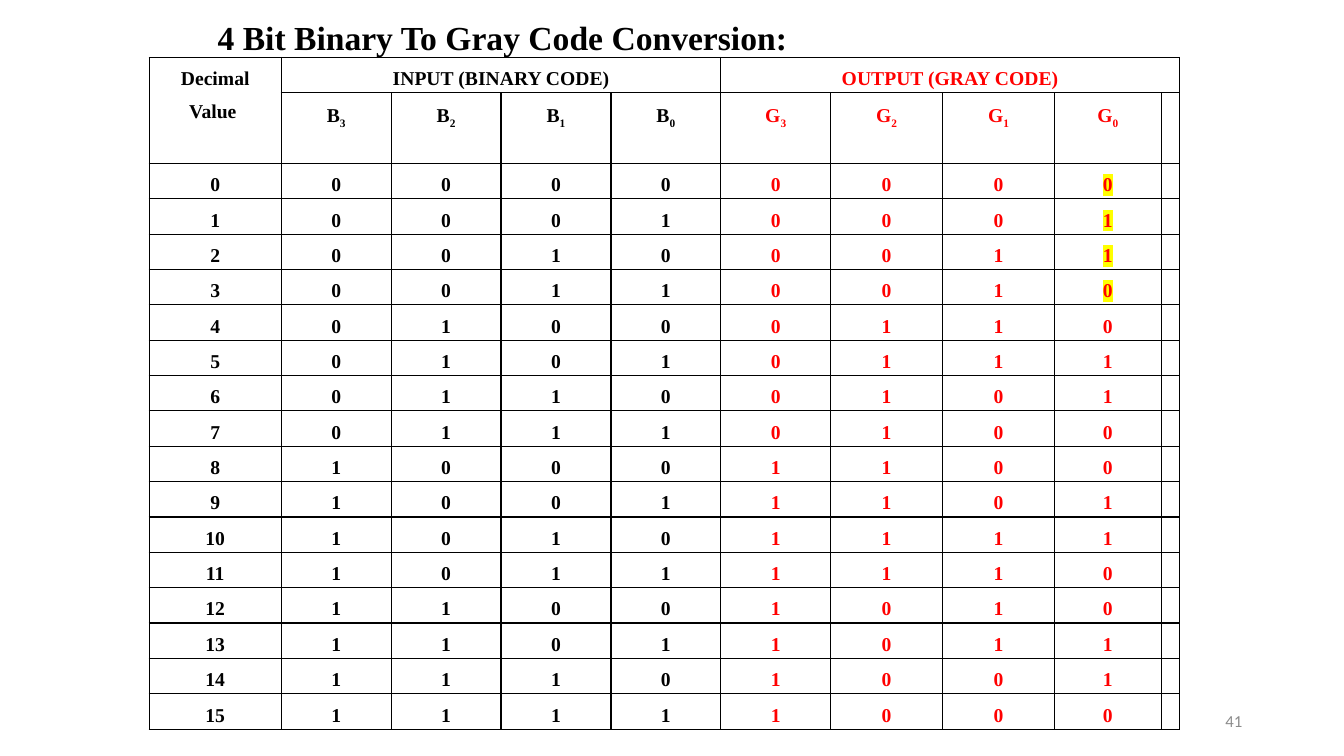
from pptx import Presentation
from pptx.dml.color import RGBColor
from pptx.enum.text import MSO_ANCHOR, PP_ALIGN
from pptx.oxml import parse_xml
from pptx.oxml.ns import nsdecls
from pptx.util import Inches, Pt

SERIF = "Times New Roman"
BLACK, RED, GRAY, YELLOW = "000000", "FF0000", "8C8C8C", "FFFF00"
COLS = [1.31] + [1.09] * 5 + [1.11, 1.11, 1.06, 0.17]
ROWS = [0.35, 0.7] + [0.351] * 16


def style(para, size, color, face=SERIF, bold=True):
    font = para.font
    font.name, font.size, font.bold = face, Pt(size), bold
    font.color.rgb = RGBColor.from_string(color)


def label(slide, box, text, size, color, face, bold, align, anchor):
    shape = slide.shapes.add_textbox(*[Inches(v) for v in box])
    frame = shape.text_frame
    frame.word_wrap = True
    frame.vertical_anchor = anchor
    para = frame.paragraphs[0]
    para.alignment = align
    para.add_run().text = text
    style(para, size, color, face, bold)


def frame_cell(cell):
    """Black hairlines on all sides, no fill, tight margins."""
    cell.margin_left = cell.margin_right = Inches(0.07)
    cell.margin_top = cell.margin_bottom = 0
    props = cell._tc.get_or_add_tcPr()
    for side in "LRTB":
        props.append(parse_xml(
            f'<a:ln{side} {nsdecls("a")} w="12700"><a:solidFill>'
            f'<a:srgbClr val="{BLACK}"/></a:solidFill></a:ln{side}>'))
    cell.fill.background()


def write(cell, text, color=BLACK, sub="", mark=False):
    para = cell.text_frame.paragraphs[0]
    para.alignment = PP_ALIGN.CENTER
    para.line_spacing = 1.5
    run = para.add_run()
    run.text = text
    if mark:
        run._r.get_or_add_rPr().append(parse_xml(
            f'<a:highlight {nsdecls("a")}><a:srgbClr val="{YELLOW}"/></a:highlight>'))
    if sub:
        low = para.add_run()
        low.text = sub
        low._r.get_or_add_rPr().set("baseline", "-25000")
    style(para, 14, color)


def add_grid(slide):
    box = [Inches(v) for v in (1.48, 0.57, sum(COLS), sum(ROWS))]
    table = slide.shapes.add_table(len(ROWS), len(COLS), *box).table
    table.first_row = table.horz_banding = False
    for col, width in zip(table.columns, COLS):
        col.width = Inches(width)
    for row, height in zip(table.rows, ROWS):
        row.height = Inches(height)
    for cell in table.iter_cells():
        frame_cell(cell)
        cell.text_frame.paragraphs[0].font.size = Pt(14)
    return table


def fill_grid(table):
    # Headings
    table.cell(0, 0).merge(table.cell(1, 0))
    table.cell(0, 1).merge(table.cell(0, 4))
    table.cell(0, 5).merge(table.cell(0, 9))
    write(table.cell(0, 0), "Decimal Value ")
    write(table.cell(0, 1), "INPUT (BINARY CODE)")
    write(table.cell(0, 5), "OUTPUT (GRAY CODE)", RED)
    for i in range(4):
        write(table.cell(1, 1 + i), "B", BLACK, str(3 - i))
        write(table.cell(1, 5 + i), "G", RED, str(3 - i))

    # Codes: Gray is the number XOR its half
    for num in range(16):
        row = num + 2
        write(table.cell(row, 0), str(num))
        for i, bit in enumerate(f"{num:04b}"):
            write(table.cell(row, 1 + i), bit)
        for i, bit in enumerate(f"{num ^ num >> 1:04b}"):
            write(table.cell(row, 5 + i), bit, RED, mark=i == 3 and num < 4)


def main():
    deck = Presentation()
    deck.slide_width, deck.slide_height = Inches(13.33), Inches(7.5)
    slide = deck.slides.add_slide(deck.slide_layouts[6])

    # Title
    label(slide, (2.06, 0.12, 9.02, 0.5), "4 Bit Binary To Gray Code Conversion:",
          24, BLACK, SERIF, True, PP_ALIGN.LEFT, MSO_ANCHOR.TOP)
    # Conversion table
    fill_grid(add_grid(slide))
    # Page number
    label(slide, (9.42, 6.95, 3, 0.4), "41", 12, GRAY, "Calibri", False,
          PP_ALIGN.RIGHT, MSO_ANCHOR.MIDDLE)
    deck.save("out.pptx")


if __name__ == "__main__":
    main()
